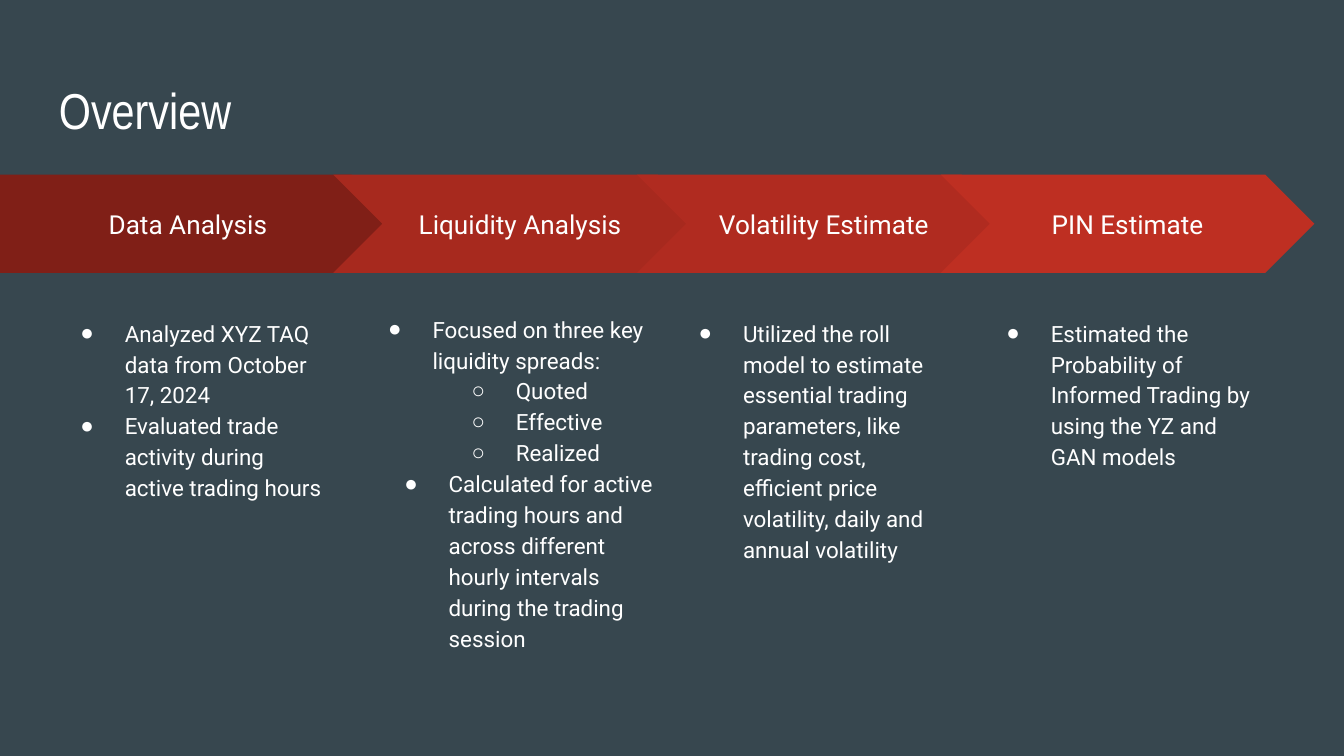
from lxml import etree
from pptx import Presentation
from pptx import util as u
from pptx.dml.color import RGBColor
from pptx.enum import shapes, text
from pptx.oxml import ns

PX = 9144  # 100 px to the inch
WHITE = "FFFFFF"
BACKGROUND = "37474F"
INSET = 10
HANGING = 33
CHEVRON_LEFT, CHEVRON_STEP = 248, 226
BAND_TOP, BAND_HEIGHT = 130, 73

# Each point: (level, left indent in px, wording)
STAGES = [
    {"name": "Data Analysis", "fill": "801F17", "points_box": (45, 225, 208, 286),
     "points": [(0, 38, "Analyzed XYZ TAQ data from October 17, 2024"),
                (0, 38, "Evaluated trade activity during active trading hours")]},
    {"name": "Liquidity Analysis", "fill": "A7291E", "points_box": (274, 222, 226, 286),
     "points": [(0, 38, "Focused on three key liquidity spreads:"),
                (1, 100, "Quoted"),
                (1, 100, "Effective"),
                (1, 100, "Realized"),
                (0, 50, "Calculated for active trading hours and across different "
                        "hourly intervals during the trading session")]},
    {"name": "Volatility Estimate", "fill": "B02B20", "points_box": (505, 225, 208, 286),
     "points": [(0, 38, "Utilized the roll model to estimate essential trading "
                        "parameters, like trading cost, efficient price volatility, "
                        "daily and annual volatility")]},
    {"name": "PIN Estimate", "fill": "BE2F22", "points_box": (734, 225, 208, 286),
     "points": [(0, 38, "Estimated the Probability of Informed Trading by using "
                        "the YZ and GAN models")]},
]


def px(*lengths):
    return [u.Emu(length * PX) for length in lengths]


def paint(color_format, color):
    color_format.rgb = RGBColor.from_string(color)


def set_frame(frame, anchor):
    inset = px(INSET)[0]
    settings = {"word_wrap": True, "vertical_anchor": anchor,
                "margin_left": inset, "margin_top": inset,
                "margin_right": inset, "margin_bottom": inset}
    for name, value in settings.items():
        setattr(frame, name, value)


def write(para, wording, size, font="Roboto"):
    span = para.add_run()
    span.text = wording
    for name, value in {"name": font, "size": u.Pt(size)}.items():
        setattr(span.font, name, value)
    paint(span.font.color, WHITE)


def set_bullet(para, level, indent):
    para.level = level
    props = para._p.get_or_add_pPr()
    left, hanging = px(indent, -HANGING)
    props.set("marL", str(left))
    props.set("indent", str(hanging))
    color = etree.SubElement(props, ns.qn("a:buClr"))
    etree.SubElement(color, ns.qn("a:srgbClr"), val=WHITE)
    etree.SubElement(props, ns.qn("a:buFont"), typeface="Arial")
    etree.SubElement(props, ns.qn("a:buChar"), char="●○"[level])


def add_title(page, box, wording):
    frame = page.shapes.add_textbox(*px(*box)).text_frame
    set_frame(frame, text.MSO_ANCHOR.TOP)
    write(frame.paragraphs[0], wording, 27, "Arial Narrow")


def add_arrow(page, box, kind, stage):
    arrow = page.shapes.add_shape(kind, *px(*box))
    arrow.adjustments[0] = 0.5
    arrow.shadow.inherit = False
    arrow.fill.solid()
    paint(arrow.fill.fore_color, stage["fill"])
    arrow.line.fill.background()
    set_frame(arrow.text_frame, text.MSO_ANCHOR.MIDDLE)
    para = arrow.text_frame.paragraphs[0]
    para.alignment = text.PP_ALIGN.CENTER
    write(para, stage["name"], 14)


def add_points(page, box, points):
    frame = page.shapes.add_textbox(*px(*box)).text_frame
    set_frame(frame, text.MSO_ANCHOR.TOP)
    for index, (level, indent, wording) in enumerate(points):
        para = frame.add_paragraph() if index else frame.paragraphs[0]
        para.line_spacing = 1.15
        set_bullet(para, level, indent)
        write(para, wording, 12)


def add_process(page, stages):
    """Place the band of arrows, each with its points below it."""
    for index, stage in enumerate(stages):
        if index == 0:
            kind, left, width = shapes.MSO_SHAPE.PENTAGON, 0, 298
        else:
            kind, width = shapes.MSO_SHAPE.CHEVRON, 278
            left = CHEVRON_LEFT + (index - 1) * CHEVRON_STEP
        add_arrow(page, (left, BAND_TOP, width, BAND_HEIGHT), kind, stage)
        add_points(page, stage["points_box"], stage["points"])


def main():
    deck = Presentation()
    deck.slide_width = px(1000)[0]
    deck.slide_height = u.Emu(deck.slide_width * 9 // 16)
    page = deck.slides.add_slide(deck.slide_layouts[6])
    page.background.fill.solid()
    paint(page.background.fill.fore_color, BACKGROUND)
    add_title(page, (34, 49, 932, 63), "Overview")
    add_process(page, STAGES)
    deck.save("out.pptx")


if __name__ == "__main__":
    main()
